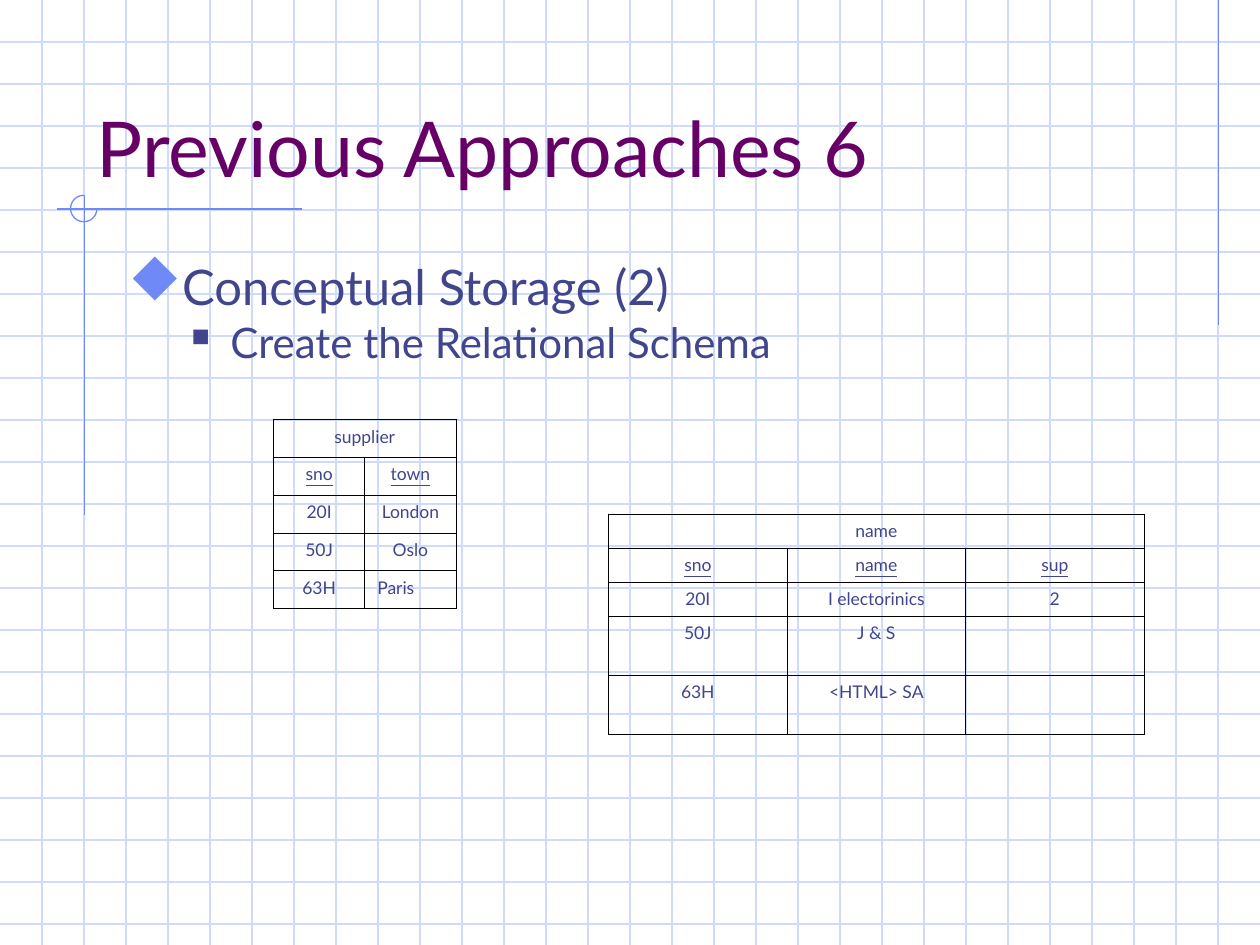
import pptx
import pptx.dml.color
import pptx.enum.shapes
import pptx.enum.text
import pptx.oxml
import pptx.oxml.ns
import pptx.util
from lxml import etree

Inches = pptx.util.Inches
Pt = pptx.util.Pt
RGBColor = pptx.dml.color.RGBColor
Align = pptx.enum.text.PP_ALIGN
Anchor = pptx.enum.text.MSO_ANCHOR
qn = pptx.oxml.ns.qn

GRID = RGBColor(0xCF, 0xDB, 0xFD)
ACCENT = RGBColor(0x6F, 0x89, 0xF7)
PURPLE = RGBColor(0x66, 0x00, 0x66)
INDIGO = RGBColor(0x40, 0x45, 0x8C)
BLACK = RGBColor(0, 0, 0)
FONT = "Lato"
BULLET_FONT = "Wingdings"
DIAMOND, SQUARE = "u", "n"  # letters that the bullet font draws as symbols
WIDTH, HEIGHT = 10, 7.5
CELLS_PER_INCH = 3

SUPPLIER = [
    ["supplier", ""],
    ["sno", "town"],
    ["20I", "London"],
    ["50J", "Oslo"],
    ["63H", "Paris"],
]
NAME = [
    ["name", "", ""],
    ["sno", "name", "sup"],
    ["20I", "I electorinics", "2"],
    ["50J", "J & S", ""],
    ["63H", "<HTML> SA", ""],
]


def add_line(page, start, end, color):
    line = page.shapes.add_connector(
        pptx.enum.shapes.MSO_CONNECTOR.STRAIGHT,
        *(Inches(value) for value in (*start, *end)))
    line.line.color.rgb = color
    line.line.width = Pt(0.75)
    etree.SubElement(line._element.spPr, qn("a:effectLst"))


def add_grid(page):
    for step in range(1, int(HEIGHT * CELLS_PER_INCH) + 1):
        y = step / CELLS_PER_INCH
        add_line(page, (0, y), (WIDTH, y), GRID)
    for step in range(1, WIDTH * CELLS_PER_INCH):
        x = step / CELLS_PER_INCH
        add_line(page, (x, 0), (x, HEIGHT), GRID)


def add_ornament(page):
    """Accent lines and the three-quarter circle where two of them cross."""
    add_line(page, (9.67, 0), (9.67, 2.58), ACCENT)
    add_line(page, (2.4, 1.66), (0.45, 1.66), ACCENT)
    add_line(page, (0.67, 1.55), (0.67, 4.09), ACCENT)
    arc = page.shapes.add_shape(
        pptx.enum.shapes.MSO_SHAPE.ARC,
        Inches(0.56), Inches(1.55), Inches(0.21), Inches(0.21))
    arc.shadow.inherit = False
    arc.adjustments[0] = 0
    arc.adjustments[1] = 270 * 60000 / 100000
    arc.fill.background()
    arc.line.color.rgb = ACCENT
    arc.line.width = Pt(0.75)


def add_box(page, left, top, width, height, anchor):
    box = page.shapes.add_textbox(
        Inches(left), Inches(top), Inches(width), Inches(height))
    box.text_frame.word_wrap = True
    box.text_frame.vertical_anchor = anchor
    return box.text_frame


def add_span(para, text, size, color):
    span = para.add_run()
    span.text = text
    span.font.name = FONT
    span.font.size = Pt(size)
    span.font.color.rgb = color
    return span


def set_bullet(para, char, color, percent, margin, hanging):
    properties = para._p.get_or_add_pPr()
    properties.set("marL", str(Inches(margin)))
    properties.set("indent", str(-Inches(hanging)))
    bullet_color = etree.SubElement(properties, qn("a:buClr"))
    etree.SubElement(bullet_color, qn("a:srgbClr"), val=str(color))
    etree.SubElement(properties, qn("a:buSzPct"), val=str(percent * 1000))
    etree.SubElement(properties, qn("a:buFont"), typeface=BULLET_FONT,
                     pitchFamily="2", charset="2")
    etree.SubElement(properties, qn("a:buChar"), char=char)


def set_borders(cell):
    properties = cell._tc.get_or_add_tcPr()
    for side in ("a:lnL", "a:lnR", "a:lnT", "a:lnB"):
        border = etree.SubElement(properties, qn(side), w=str(Pt(0.45)))
        fill = etree.SubElement(border, qn("a:solidFill"))
        etree.SubElement(fill, qn("a:srgbClr"), val=str(BLACK))


def add_relation(page, left, top, width, row_heights, rows):
    """Table with a merged title row and an underlined heading row."""
    columns = len(rows[0])
    table = page.shapes.add_table(
        len(rows), columns, Inches(left), Inches(top),
        Inches(width), Inches(sum(row_heights))).table
    table.first_row = table.horz_banding = False
    for column in table.columns:
        column.width = Inches(width / columns)
    for r, (height, texts) in enumerate(zip(row_heights, rows)):
        table.rows[r].height = Inches(height)
        for c, text in enumerate(texts):
            cell = table.cell(r, c)
            set_borders(cell)
            cell.fill.background()
            if text:
                para = cell.text_frame.paragraphs[0]
                para.alignment = Align.CENTER
                span = add_span(para, text, 10, INDIGO)
                if r == 1:
                    span.font.underline = True
    table.cell(0, 0).merge(table.cell(0, columns - 1))
    return table


def main():
    deck = pptx.Presentation()
    deck.slide_width, deck.slide_height = Inches(WIDTH), Inches(HEIGHT)
    page = deck.slides.add_slide(deck.slide_layouts[6])
    add_grid(page)
    add_ornament(page)

    title = add_box(page, 0.67, 0.33, 8.5, 1.25, Anchor.BOTTOM)
    add_span(title.paragraphs[0], "Previous Approaches 6", 44, PURPLE)

    body = add_box(page, 0.92, 2.08, 8.5, 4.5, Anchor.TOP)
    topic = body.paragraphs[0]
    set_bullet(topic, DIAMOND, ACCENT, 110, 0.38, 0.38)
    topic.line_spacing = 0.8
    add_span(topic, "Conceptual Storage (2)", 28, INDIGO)
    detail = body.add_paragraph()
    detail.level = 1
    set_bullet(detail, SQUARE, INDIGO, 60, 0.81, 0.31)
    detail.line_spacing = 0.8
    detail.space_before = Pt(6)
    add_span(detail, "Create the Relational Schema", 24, INDIGO)

    supplier = add_relation(page, 2.17, 3.33, 1.45, [0.3] * 5, SUPPLIER)
    supplier.cell(4, 1).text_frame.paragraphs[0].alignment = Align.LEFT
    add_relation(page, 4.83, 4.08, 4.25, [0.27] * 3 + [0.47] * 2, NAME)
    deck.save("out.pptx")


if __name__ == "__main__":
    main()
